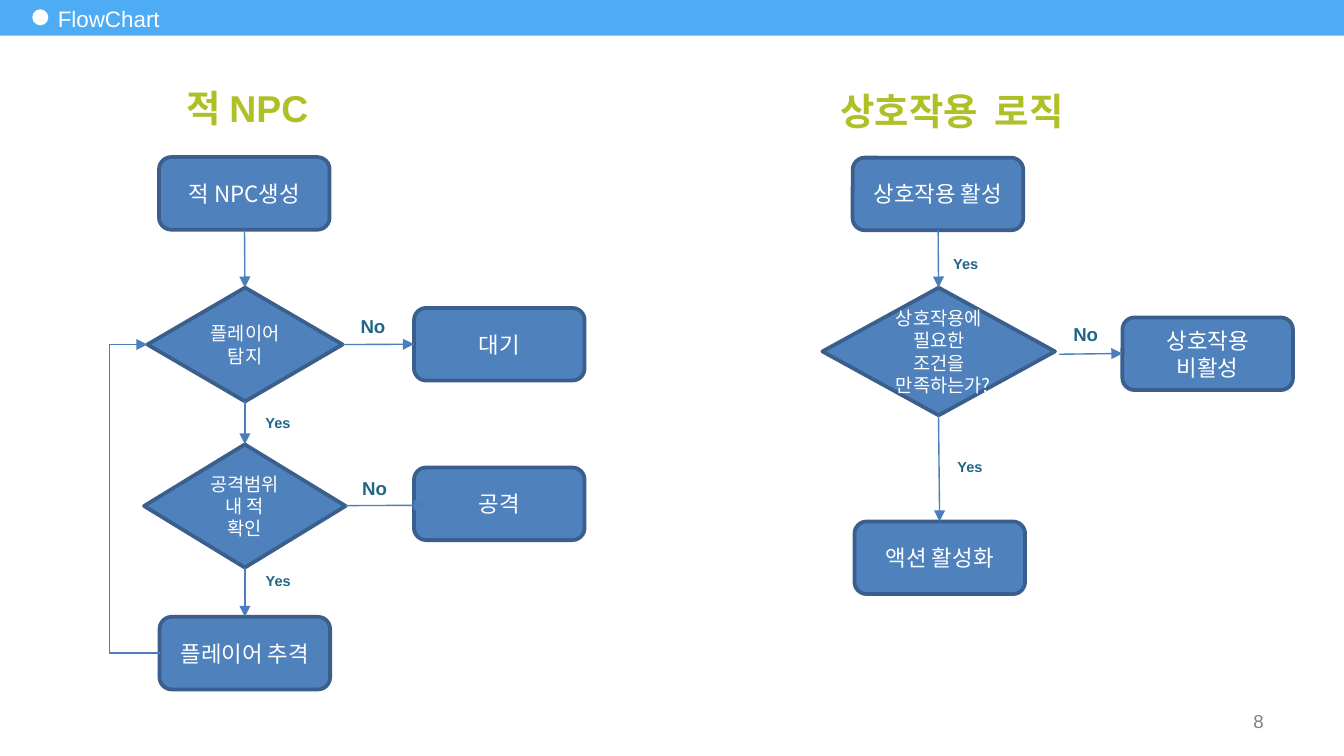
from typing import NamedTuple

from lxml.etree import SubElement
from pptx import Presentation
from pptx.dml.color import RGBColor
from pptx.enum.shapes import MSO_CONNECTOR as Connector, MSO_SHAPE as Preset
from pptx.enum.text import MSO_ANCHOR as Anchor, PP_ALIGN as Align
from pptx.oxml.ns import qn
from pptx.util import Pt

WHITE = RGBColor(0xFF, 0xFF, 0xFF)
BANNER_BLUE = RGBColor(0x4D, 0xAC, 0xF3)
NODE_BLUE = RGBColor(0x4F, 0x81, 0xBD)
NODE_EDGE = RGBColor(0x3A, 0x5F, 0x8C)
ARROW_BLUE = RGBColor(0x4B, 0x7E, 0xBC)
HEADING_GREEN = RGBColor(0xAE, 0xC0, 0x26)
LABEL_TEAL = RGBColor(0x21, 0x66, 0x87)
PAGE_GRAY = RGBColor(0x80, 0x80, 0x80)
LATIN_FONT = "Arial"
KOREAN_FONT = "Noto Sans CJK KR"


class Step(NamedTuple):
    text: str
    left: float
    top: float
    width: float = 91.4
    height: float = 38.9
    preset: Preset = Preset.ROUNDED_RECTANGLE
    size: float = 12


class Decision(NamedTuple):
    text: str
    left: float
    top: float
    width: float
    height: float
    preset: Preset = Preset.FLOWCHART_DECISION
    size: float = 10


class Arrow(NamedTuple):
    start_x: float
    start_y: float
    end_x: float
    end_y: float
    bend: int | None = None


class Label(NamedTuple):
    text: str
    left: float
    top: float
    width: float
    height: float
    size: float
    color: RGBColor = LABEL_TEAL
    bold: bool = True
    anchor: Anchor = Anchor.TOP
    align: Align = Align.LEFT


NODES = [
    Step("적 NPC생성", 85.2, 84.2),
    Decision("플레이어 탐지", 79, 154.1, 104.6, 61),
    Step("대기", 221.8, 165),
    Step("플레이어 추격", 85.5, 330.5),
    Decision("공격범위내 적 확인", 77.2, 238.1, 108, 66),
    Step("공격", 221.8, 250.5),
    Step("상호작용 활성", 456.8, 84.5),
    Decision("상호작용에 필요한 조건을 만족하는가?", 440.6, 154.1, 124.6, 68.4),
    Step("상호작용 비활성", 601.3, 170.1),
    Step("액션 활성화", 457.8, 279.4),
]
ARROWS = [
    Arrow(131, 123.1, 131.2, 154.1),
    Arrow(183.6, 184.6, 221.8, 184.4),
    Arrow(131.2, 215.1, 131.2, 238.1),
    Arrow(131.2, 304.1, 131.2, 330.5),
    Arrow(185.2, 270.9, 227.5, 270.7),
    Arrow(85.5, 349.9, 79, 184.6, bend=415000),
    Arrow(502.6, 123.4, 502.8, 154.1),
    Arrow(502.8, 222.5, 503.4, 279.4),
    Arrow(567.4, 189.8, 601.3, 189.4),
]
LABELS = [
    Label("FlowChart", 24.5, -0.5, 223, 21, 12, WHITE, False, Anchor.MIDDLE),
    Label("적 NPC", 93.4, 42.5, 150, 26, 20, HEADING_GREEN),
    Label("상호작용  로직", 443.8, 43.9, 150, 26, 20, HEADING_GREEN),
    Label("No", 186.7, 165.2, 30.2, 18, 10),
    Label("No", 187.5, 252.3, 30.2, 18, 10),
    Label("No", 568.5, 170, 30.2, 18, 10),
    Label("Yes", 135.7, 218.5, 28, 15.1, 7.8),
    Label("Yes", 504.2, 133.4, 28, 20, 7.8),
    Label("Yes", 135.9, 303.1, 28, 20, 7.8),
    Label("Yes", 506.4, 242.4, 28, 20, 7.8),
    Label("8", 515.7, 375.4, 167.8, 21.6, 10, PAGE_GRAY, False,
          Anchor.MIDDLE, Align.RIGHT),
]


def write_text(shape, text: str, *, size: float, font: str = LATIN_FONT,
               color: RGBColor = WHITE, bold: bool = False,
               anchor: Anchor = Anchor.MIDDLE, align: Align = Align.CENTER) -> None:
    frame = shape.text_frame
    frame.word_wrap = True
    frame.vertical_anchor = anchor
    paragraph = frame.paragraphs[0]
    paragraph.alignment = align
    run = paragraph.add_run()
    run.text = text
    run.font.size = Pt(size)
    run.font.bold = bold
    run.font.color.rgb = color
    run.font.name = font
    properties = run.font._element
    SubElement(properties, qn("a:ea"), typeface=KOREAN_FONT)


def draw_shape(slide, preset: Preset, left: float, top: float, width: float,
               height: float, fill: RGBColor, edge: RGBColor | None = None):
    shape = slide.shapes.add_shape(preset, Pt(left), Pt(top), Pt(width), Pt(height))
    shape.shadow.inherit = False
    shape.fill.solid()
    shape.fill.fore_color.rgb = fill
    if edge is None:
        shape.line.fill.background()
    else:
        shape.line.color.rgb = edge
        shape.line.width = Pt(2)
    return shape


def draw_node(slide, node: Step | Decision) -> None:
    shape = draw_shape(slide, node.preset, node.left, node.top, node.width,
                       node.height, NODE_BLUE, NODE_EDGE)
    write_text(shape, node.text, size=node.size, font=KOREAN_FONT)


def draw_arrow(slide, arrow: Arrow) -> None:
    kind = Connector.STRAIGHT if arrow.bend is None else Connector.ELBOW
    connector = slide.shapes.add_connector(
        kind, Pt(arrow.start_x), Pt(arrow.start_y), Pt(arrow.end_x), Pt(arrow.end_y))
    connector.line.color.rgb = ARROW_BLUE
    connector.line.width = Pt(0.75)
    properties = connector._element.spPr
    SubElement(properties.find(qn("a:ln")), qn("a:tailEnd"), type="triangle")
    SubElement(properties, qn("a:effectLst"))
    if arrow.bend is not None:
        guides = properties.find(qn("a:prstGeom")).get_or_add_avLst()
        SubElement(guides, qn("a:gd"), name="adj1", fmla=f"val {arrow.bend}")


def draw_label(slide, label: Label) -> None:
    box = slide.shapes.add_textbox(Pt(label.left), Pt(label.top),
                                   Pt(label.width), Pt(label.height))
    frame = box.text_frame
    frame.margin_left = frame.margin_right = Pt(6.5)
    frame.margin_top = frame.margin_bottom = Pt(3.2)
    write_text(box, label.text, size=label.size, color=label.color, bold=label.bold,
               anchor=label.anchor, align=label.align)


def main() -> None:
    presentation = Presentation()
    presentation.slide_width = Pt(720)
    presentation.slide_height = Pt(405)
    slide = presentation.slides.add_slide(presentation.slide_layouts[6])
    draw_shape(slide, Preset.RECTANGLE, 0, -1.2, 720, 20.3, BANNER_BLUE)
    draw_shape(slide, Preset.OVAL, 17.3, 5, 8.6, 8.6, WHITE)
    for node in NODES:
        draw_node(slide, node)
    for arrow in ARROWS:
        draw_arrow(slide, arrow)
    for label in LABELS:
        draw_label(slide, label)
    presentation.save("out.pptx")


if __name__ == "__main__":
    main()
